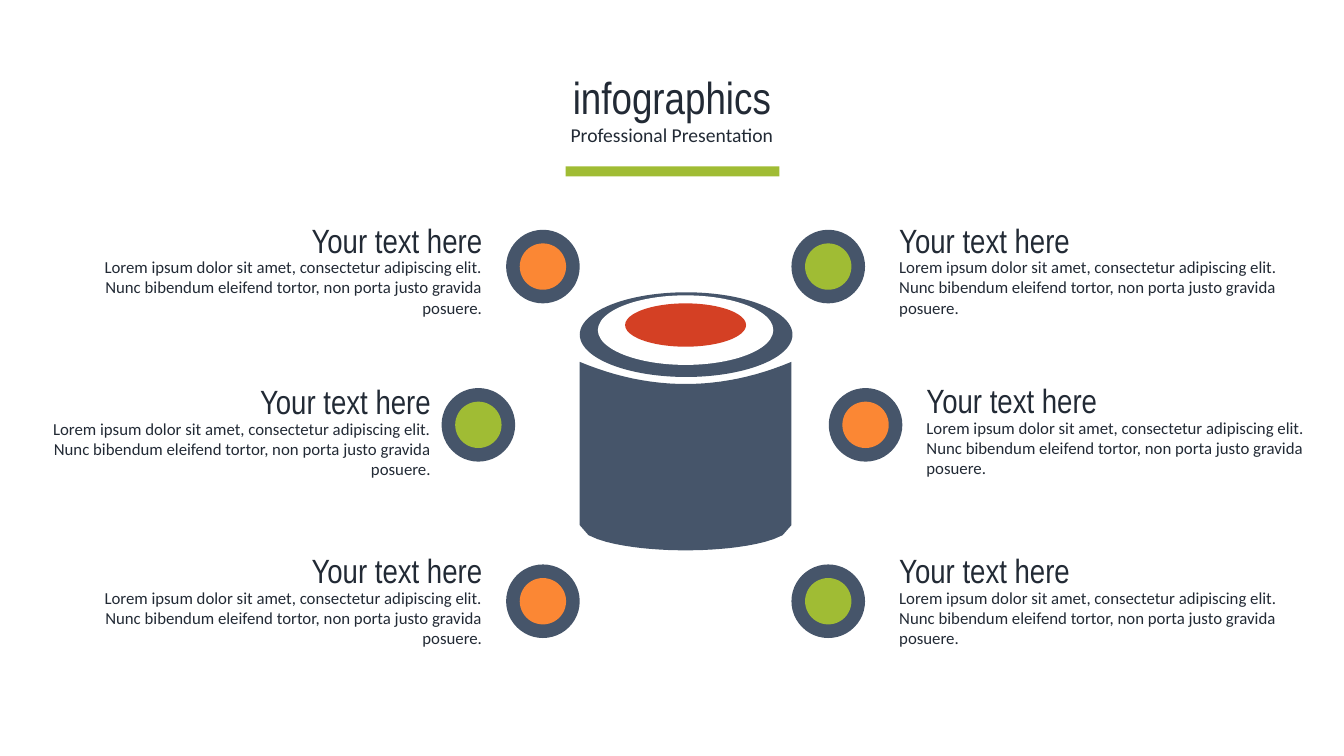
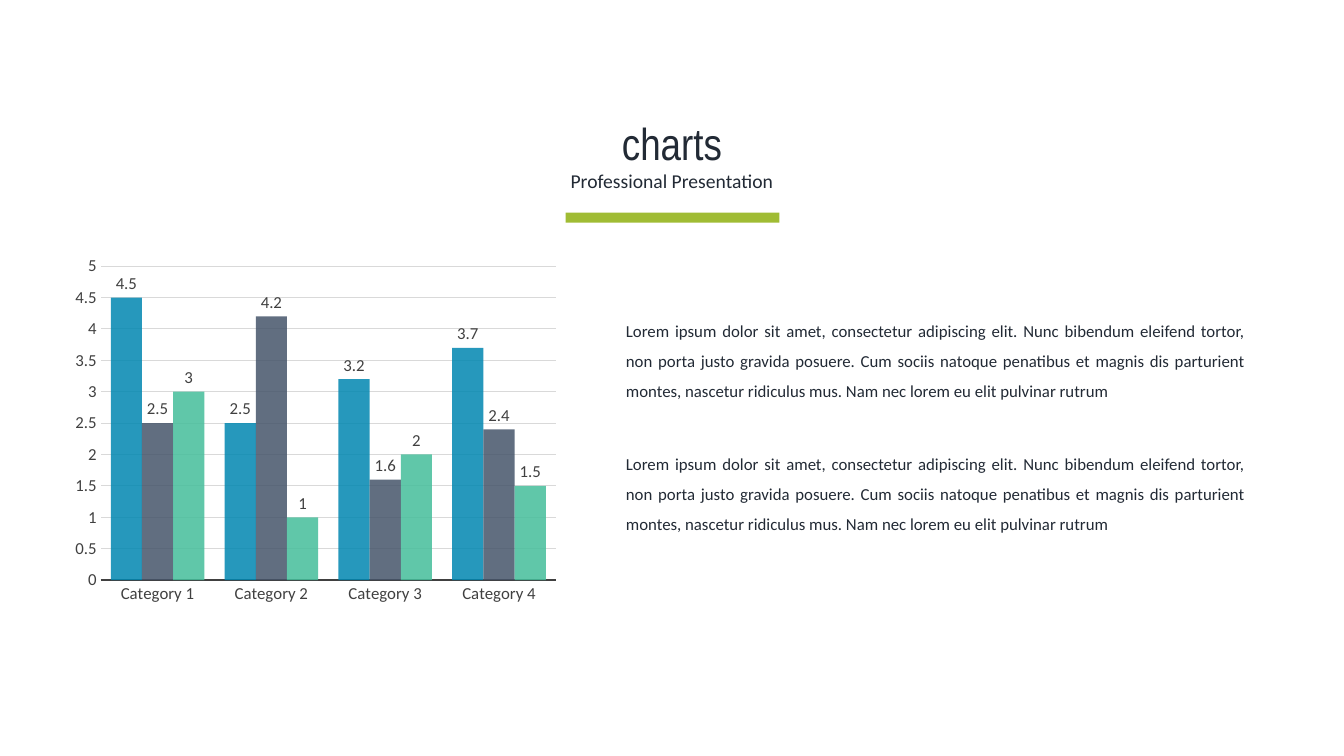
"""Build an infographic slide and a chart slide with a shared heading style."""
from lxml import etree
from pptx import Presentation
from pptx.chart.data import CategoryChartData
from pptx.dml.color import RGBColor
from pptx.enum.chart import XL_CHART_TYPE, XL_LABEL_POSITION, XL_TICK_MARK
from pptx.enum.shapes import MSO_SHAPE
from pptx.enum.text import MSO_ANCHOR, MSO_AUTO_SIZE, PP_ALIGN
from pptx.oxml.ns import qn
from pptx.util import Inches, Pt

LEFT, RIGHT, CENTER, JUSTIFY = PP_ALIGN.LEFT, PP_ALIGN.RIGHT, PP_ALIGN.CENTER, PP_ALIGN.JUSTIFY
RECTANGLE, OVAL = MSO_SHAPE.RECTANGLE, MSO_SHAPE.OVAL
NO_TICK = XL_TICK_MARK.NONE

COLORS = {
    "text": "222A35", "slate": "46556A", "green": "A0BC34", "orange": "FB8734",
    "red": "D44024", "white": "FFFFFF", "blue": "0087B1", "mint": "45BE9B",
    "axis": "404040", "grid": "D9D9D9",
}
STYLES = {
    "title": {"name": "Arial Narrow", "size": Pt(32)},
    "subtitle": {"name": "Calibri", "size": Pt(14)},
    "heading": {"name": "Arial Narrow", "size": Pt(24)},
    "body": {"name": "Calibri", "size": Pt(12)},
}
SLIDE_WIDTH, SLIDE_HEIGHT = 13.33, 7.5

SUBTITLE = "Professional Presentation"
CALLOUT_HEADING = "Your text here"
CALLOUT_BODY = ("Lorem ipsum dolor sit amet, consectetur adipiscing elit. "
                "Nunc bibendum eleifend tortor, non porta justo gravida posuere.")
CHART_BODY = (CALLOUT_BODY + " Cum sociis natoque penatibus et magnis dis parturient montes, "
              "nascetur ridiculus mus. Nam nec lorem eu elit pulvinar rutrum")

CALLOUTS = [
    (5.02, 2.28, "orange", 0.79, 2.13, RIGHT),
    (7.85, 2.28, "green", 8.82, 2.13, LEFT),
    (4.38, 3.85, "green", 0.28, 3.73, RIGHT),
    (8.22, 3.85, "orange", 9.09, 3.72, LEFT),
    (5.02, 5.6, "orange", 0.79, 5.41, RIGHT),
    (7.85, 5.6, "green", 8.82, 5.41, LEFT),
]
RING_SIZE, RING_BAND = 0.73, 0.135
ROLL_TOP = [
    ("slate", 5.75, 2.9, 2.11, 0.84),
    ("white", 5.93, 2.93, 1.74, 0.69),
    ("red", 6.2, 3.01, 1.2, 0.43),
]
ROLL_CENTER, ROLL_RADIUS = 6.8, 1.05
BODY_TOP, BODY_TOP_DIP, BODY_BOTTOM, BODY_BOTTOM_DIP = 3.59, 0.22, 5.21, 0.25
CURVE_STEPS = 24

CATEGORIES = ["Category 1", "Category 2", "Category 3", "Category 4"]
SERIES = [
    ("Series 1", "blue", (4.5, 2.5, 3.2, 3.7)),
    ("Series 2", "slate", (2.5, 4.2, 1.6, 2.4)),
    ("Series 3", "mint", (3, 1, 2, 1.5)),
]
PLOT_LAYOUT = {"layoutTarget": "inner", "xMode": "edge", "yMode": "edge",
               "x": 0.055, "y": 0.051, "w": 0.78, "h": 0.833}
BAR_ALPHA = 85000
CHART_TEXT_TOPS = [3.03, 4.35]


def rgb(name):
    return RGBColor.from_string(COLORS[name])


def set_attributes(target, values):
    for name, value in values.items():
        setattr(target, name, value)


def style_font(font, style, color="text"):
    set_attributes(font, STYLES[style])
    font.color.rgb = rgb(color)


def write_text(shape, text, style, alignment, line_spacing=None):
    frame = shape.text_frame
    set_attributes(frame, {"text": text, "word_wrap": True,
                           "auto_size": MSO_AUTO_SIZE.NONE,
                           "vertical_anchor": MSO_ANCHOR.TOP})
    paragraph = frame.paragraphs[0]
    set_attributes(paragraph, {"alignment": alignment, "line_spacing": line_spacing})
    style_font(paragraph.runs[0].font, style)


def add_text(slide, box, text, style, alignment, line_spacing=None):
    shape = slide.shapes.add_textbox(*map(Inches, box))
    write_text(shape, text, style, alignment, line_spacing)


def paint(shape, color):
    shape.shadow.inherit = False
    shape.fill.solid()
    shape.fill.fore_color.rgb = rgb(color)
    shape.line.fill.background()


def add_filled(slide, kind, box, color):
    paint(slide.shapes.add_shape(kind, *map(Inches, box)), color)


def add_titled_slide(presentation, title, top):
    slide = presentation.slides.add_slide(presentation.slide_layouts[5])
    placeholder = slide.shapes.title
    set_attributes(placeholder, {"left": 0, "top": Inches(top),
                                 "width": Inches(SLIDE_WIDTH), "height": Inches(0.64)})
    write_text(placeholder, title, "title", CENTER)
    add_text(slide, (0.68, top + 0.53, 11.97, 0.34), SUBTITLE, "subtitle", CENTER)
    add_filled(slide, RECTANGLE, (5.61, top + 1.01, 2.12, 0.1), "green")
    return slide


def add_roll(slide):
    for color, *box in ROLL_TOP:
        add_filled(slide, OVAL, box, color)
    offsets = [2 * step / CURVE_STEPS - 1 for step in range(CURVE_STEPS + 1)]
    upper = [(offset, BODY_TOP + BODY_TOP_DIP * (1 - offset ** 2)) for offset in offsets]
    lower = [(offset, BODY_BOTTOM + BODY_BOTTOM_DIP * (1 - offset ** 2) ** 0.5)
             for offset in reversed(offsets)]
    points = [(Inches(ROLL_CENTER + ROLL_RADIUS * offset), Inches(y))
              for offset, y in upper + lower]
    builder = slide.shapes.build_freeform(*points[0], scale=1.0)
    builder.add_line_segments(points[1:], close=True)
    paint(builder.convert_to_shape(), "slate")


def add_callout(slide, ring_left, ring_top, color, text_left, text_top, alignment):
    for inset, fill in ((0, "slate"), (RING_BAND, color)):
        size = RING_SIZE - 2 * inset
        add_filled(slide, OVAL, (ring_left + inset, ring_top + inset, size, size), fill)
    add_text(slide, (text_left, text_top + 0.37, 4.09, 0.71), CALLOUT_BODY, "body", alignment)
    add_text(slide, (text_left, text_top, 4.09, 0.5), CALLOUT_HEADING, "heading", alignment)


def set_plot_layout(chart):
    plot_area = chart.element.xpath(".//c:plotArea")[0]
    for layout in plot_area.findall(qn("c:layout")):
        plot_area.remove(layout)
    layout = etree.Element(qn("c:layout"))
    manual = etree.SubElement(layout, qn("c:manualLayout"))
    for name, value in PLOT_LAYOUT.items():
        etree.SubElement(manual, qn(f"c:{name}")).set("val", str(value))
    plot_area.insert(0, layout)


def add_column_chart(slide):
    data = CategoryChartData()
    data.categories = CATEGORIES
    for name, _, values in SERIES:
        data.add_series(name, values)
    box = map(Inches, (0.68, 2.45, 5.79, 3.74))
    chart = slide.shapes.add_chart(XL_CHART_TYPE.COLUMN_CLUSTERED, *box, data).chart
    set_attributes(chart, {"has_legend": False, "has_title": False})
    style_font(chart.font, "body", "axis")
    plot = chart.plots[0]
    set_attributes(plot, {"gap_width": 65, "overlap": 0, "vary_by_categories": False})

    for series, (_, color, _) in zip(plot.series, SERIES):
        series.format.fill.solid()
        series.format.fill.fore_color.rgb = rgb(color)
        labels = series.data_labels
        set_attributes(labels, {"show_value": True, "position": XL_LABEL_POSITION.OUTSIDE_END})
        style_font(labels.font, "body", "axis")
    for fill_color in chart.element.xpath(".//c:ser/c:spPr/a:solidFill/a:srgbClr"):
        etree.SubElement(fill_color, qn("a:alpha")).set("val", str(BAR_ALPHA))

    category_axis, value_axis = chart.category_axis, chart.value_axis
    for axis in (category_axis, value_axis):
        set_attributes(axis, {"major_tick_mark": NO_TICK, "minor_tick_mark": NO_TICK})
        style_font(axis.tick_labels.font, "body", "axis")
    set_attributes(value_axis, {"minimum_scale": 0, "maximum_scale": 5, "major_unit": 0.5,
                                "has_major_gridlines": True})
    value_axis.format.line.fill.background()
    for line, color, width in ((category_axis.format.line, "axis", 1.5),
                               (value_axis.major_gridlines.format.line, "grid", 0.75)):
        line.color.rgb = rgb(color)
        line.width = Pt(width)
    set_plot_layout(chart)


def main():
    presentation = Presentation()
    set_attributes(presentation, {"slide_width": Inches(SLIDE_WIDTH),
                                  "slide_height": Inches(SLIDE_HEIGHT)})
    infographic = add_titled_slide(presentation, "infographics", 0.64)
    add_roll(infographic)
    for callout in CALLOUTS:
        add_callout(infographic, *callout)

    chart_slide = add_titled_slide(presentation, "charts", 1.1)
    add_column_chart(chart_slide)
    for top in CHART_TEXT_TOPS:
        add_text(chart_slide, (6.11, top, 6.34, 1.01), CHART_BODY, "body", JUSTIFY, 1.5)
    presentation.save("out.pptx")


if __name__ == "__main__":
    main()
